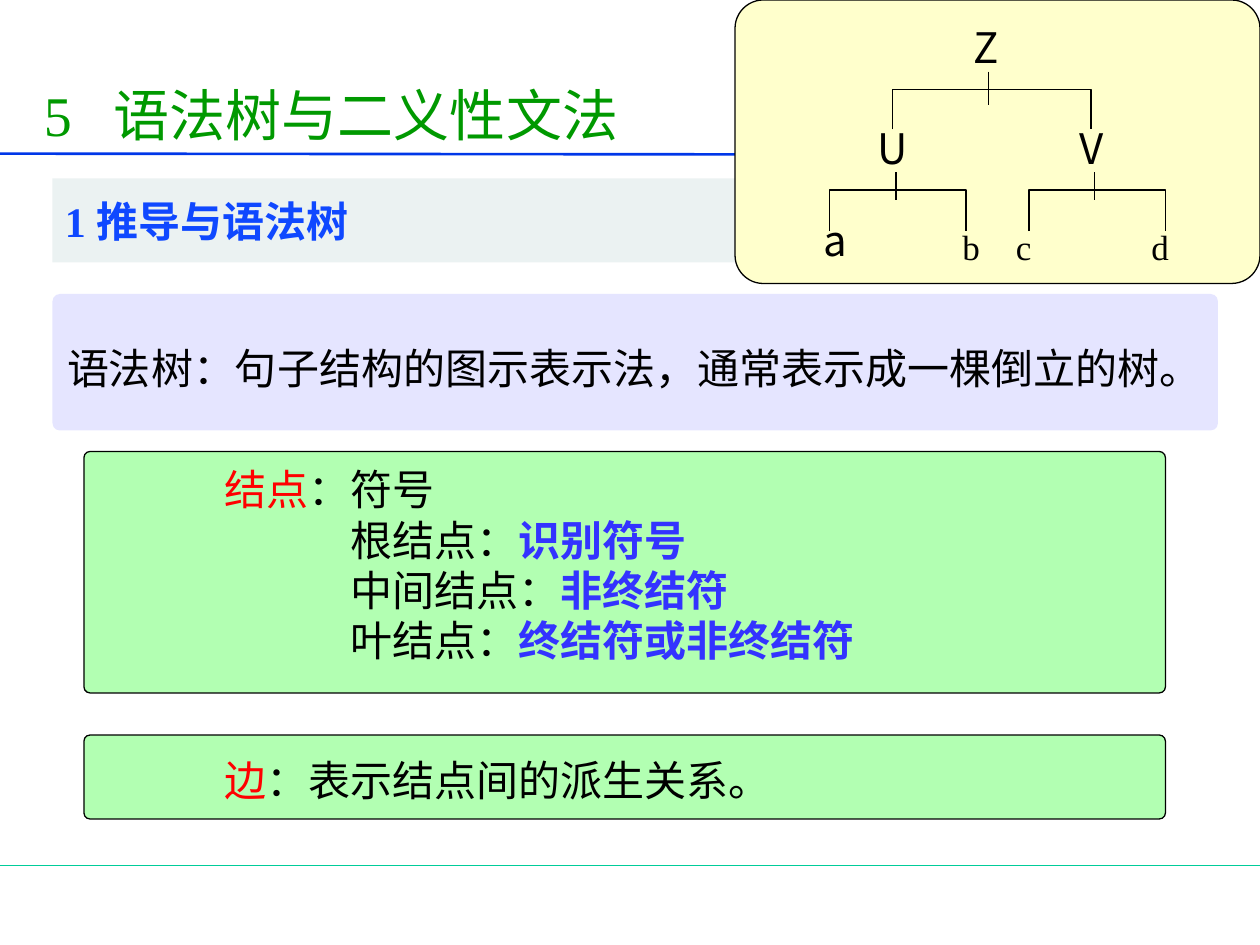
from dataclasses import dataclass
from typing import Optional

import pptx
import pptx.dml.color
import pptx.enum.shapes
import pptx.enum.text
import pptx.oxml
import pptx.oxml.ns
import pptx.util

Pt = pptx.util.Pt
Kind = pptx.enum.shapes.MSO_SHAPE
Anchor = pptx.enum.text.MSO_ANCHOR
Align = pptx.enum.text.PP_ALIGN


@dataclass(frozen=True)
class Theme:
    serif: str = "Times New Roman"
    sans: str = "Noto Sans CJK SC"
    title: float = 32
    body: float = 24
    leaf: float = 20
    black: str = "000000"
    green: str = "009900"
    head: str = "0F48FF"
    term: str = "FF0000"
    key: str = "3333FF"
    rule: str = "0037E8"
    foot: str = "00CC99"
    band: str = "D9E6E6"
    lilac: str = "CCCCFF"
    mint: str = "66FF66"
    cream: str = "FFFFCC"


@dataclass(frozen=True)
class Run:
    text: str
    color: str = Theme.black
    bold: bool = False
    font: str = Theme.sans
    size: float = Theme.body


@dataclass(frozen=True)
class Panel:
    left: float
    top: float
    width: float
    height: float
    fill: str
    radius: float = 0
    alpha: Optional[int] = 50
    edge: bool = False


@dataclass(frozen=True)
class Label:
    left: float
    top: float
    width: float
    run: Run
    height: float = 36


@dataclass(frozen=True)
class Fork:
    left: float
    right: float
    stem: float
    start: float
    bar: float
    stop: float
    end: float


def rgb(code: str):
    return pptx.dml.color.RGBColor.from_string(code)


def add_xml(parent, tag: str, **attrs):
    node = pptx.oxml.parse_xml(f"<a:{tag} {pptx.oxml.ns.nsdecls('a')}/>")
    for name, value in attrs.items():
        node.set(name, str(value))
    parent.append(node)
    return node


def write(shape, rows, gap=None, tabs=(), align=Align.LEFT,
          anchor=Anchor.MIDDLE, pad=3.6) -> None:
    """Fill a shape with one paragraph for each row of runs."""
    frame = shape.text_frame
    frame.word_wrap = True
    frame.vertical_anchor = anchor
    frame.margin_top = frame.margin_bottom = Pt(pad)
    for i, row in enumerate(rows):
        para = frame.add_paragraph() if i else frame.paragraphs[0]
        if tabs:
            stops = add_xml(para._p.get_or_add_pPr(), "tabLst")
            for stop in tabs:
                add_xml(stops, "tab", pos=Pt(stop), algn="l")
        para.alignment = align
        if gap:
            para.line_spacing = gap
        for item in row:
            run = para.add_run()
            run.text = item.text
            run.font.name = item.font
            run.font.size = Pt(item.size)
            run.font.bold = item.bold
            run.font.color.rgb = rgb(item.color)


def add_panel(slide, panel: Panel):
    kind = Kind.ROUNDED_RECTANGLE if panel.radius else Kind.RECTANGLE
    shape = slide.shapes.add_shape(kind, Pt(panel.left), Pt(panel.top),
                                   Pt(panel.width), Pt(panel.height))
    shape.shadow.inherit = False
    if panel.radius:
        shape.adjustments[0] = panel.radius / min(panel.width, panel.height)
    shape.fill.solid()
    shape.fill.fore_color.rgb = rgb(panel.fill)
    if panel.alpha:
        tint = shape._element.spPr.find(".//" + pptx.oxml.ns.qn("a:srgbClr"))
        add_xml(tint, "alpha", val=panel.alpha * 1000)
    if panel.edge:
        shape.line.color.rgb = rgb(Theme.black)
        shape.line.width = Pt(0.75)
    else:
        shape.line.fill.background()
    return shape


def add_line(slide, x1: float, y1: float, x2: float, y2: float,
             color: str = Theme.black, width: float = 0.75) -> None:
    line = slide.shapes.add_connector(pptx.enum.shapes.MSO_CONNECTOR.STRAIGHT,
                                      Pt(x1), Pt(y1), Pt(x2), Pt(y2))
    line.line.color.rgb = rgb(color)
    line.line.width = Pt(width)
    add_xml(line._element.spPr, "effectLst")


def add_label(slide, label: Label) -> None:
    box = slide.shapes.add_textbox(Pt(label.left), Pt(label.top),
                                   Pt(label.width), Pt(label.height))
    write(box, [[label.run]], align=Align.CENTER, pad=0)


def add_fork(slide, fork: Fork) -> None:
    """Draw a bracket over two children and the stem of their parent."""
    build = slide.shapes.build_freeform(Pt(fork.left), Pt(fork.end), scale=1.0)
    build.add_line_segments([(Pt(fork.left), Pt(fork.bar)),
                             (Pt(fork.right), Pt(fork.bar)),
                             (Pt(fork.right), Pt(fork.end))], close=False)
    shape = build.convert_to_shape()
    shape.shadow.inherit = False
    shape.fill.background()
    shape.line.color.rgb = rgb(Theme.black)
    shape.line.width = Pt(0.75)
    add_line(slide, fork.stem, fork.start, fork.stem, fork.stop)


def add_tree(slide) -> None:
    add_panel(slide, Panel(420, 0, 300, 162, Theme.cream, 16.2, None, True))
    for left, top, width, text in ((522, 8.64, 83.5, "Z"), (474, 66.24, 72, "U"),
                                   (594, 66.24, 59, "V"), (463, 118.8, 28.8, "a")):
        add_label(slide, Label(left, top, width, Run(text)))
    for left, text in ((540, "b"), (570, "c"), (648, "d")):
        run = Run(text, font=Theme.serif, size=Theme.leaf)
        add_label(slide, Label(left, 124.9, 30, run, 31.5))
    add_fork(slide, Fork(510, 623.5, 565, 41, 51, 60, 74))
    for left, stem in ((474, 512), (588, 625.5)):
        add_fork(slide, Fork(left, left + 78, stem, 98.5, 108.5, 114.5, 132))


def main() -> None:
    deck = pptx.Presentation()
    deck.slide_width, deck.slide_height = Pt(720), Pt(540)
    slide = deck.slides.add_slide(deck.slide_layouts[6])

    add_line(slide, 0, 494.5, 720, 494.5, Theme.foot)
    add_line(slide, 0, 87.8, 720, 88.5, Theme.rule, 1.5)

    title = slide.shapes.add_textbox(Pt(18), Pt(42), Pt(444), Pt(46))
    write(title, [[Run("5\t语法树与二义性文法", Theme.green,
                       font=Theme.serif, size=Theme.title)]], tabs=(40,))

    band = add_panel(slide, Panel(30, 102, 654, 48, Theme.band))
    write(band, [[Run("1 推导与语法树", Theme.head, True, Theme.serif)]])

    about = add_panel(slide, Panel(30, 168, 666, 78, Theme.lilac, 4.2))
    write(about, [[Run("语法树：句子结构的图示表示法，通常表示成一棵倒立的树。",
                       font=Theme.serif)]], gap=1.2)

    nodes = add_panel(slide, Panel(48, 258, 618, 138, Theme.mint, 3.5, edge=True))
    rows = [[Run("\t"), Run("结点", Theme.term), Run("：符号")]]
    for name, value in (("根结点", "识别符号"), ("中间结点", "非终结符"),
                        ("叶结点", "终结符或非终结符")):
        rows.append([Run(f"\t\t{name}："), Run(value, Theme.key, True)])
    write(nodes, rows, gap=Pt(28.8), tabs=(72, 144), anchor=Anchor.TOP, pad=6)

    edges = add_panel(slide, Panel(48, 420, 618, 48, Theme.mint, 3.5, edge=True))
    write(edges, [[Run("\t"), Run("边", Theme.term),
                   Run("：表示结点间的派生关系。")]], gap=1.1, tabs=(72,))

    add_tree(slide)
    deck.save("out.pptx")


if __name__ == "__main__":
    main()
